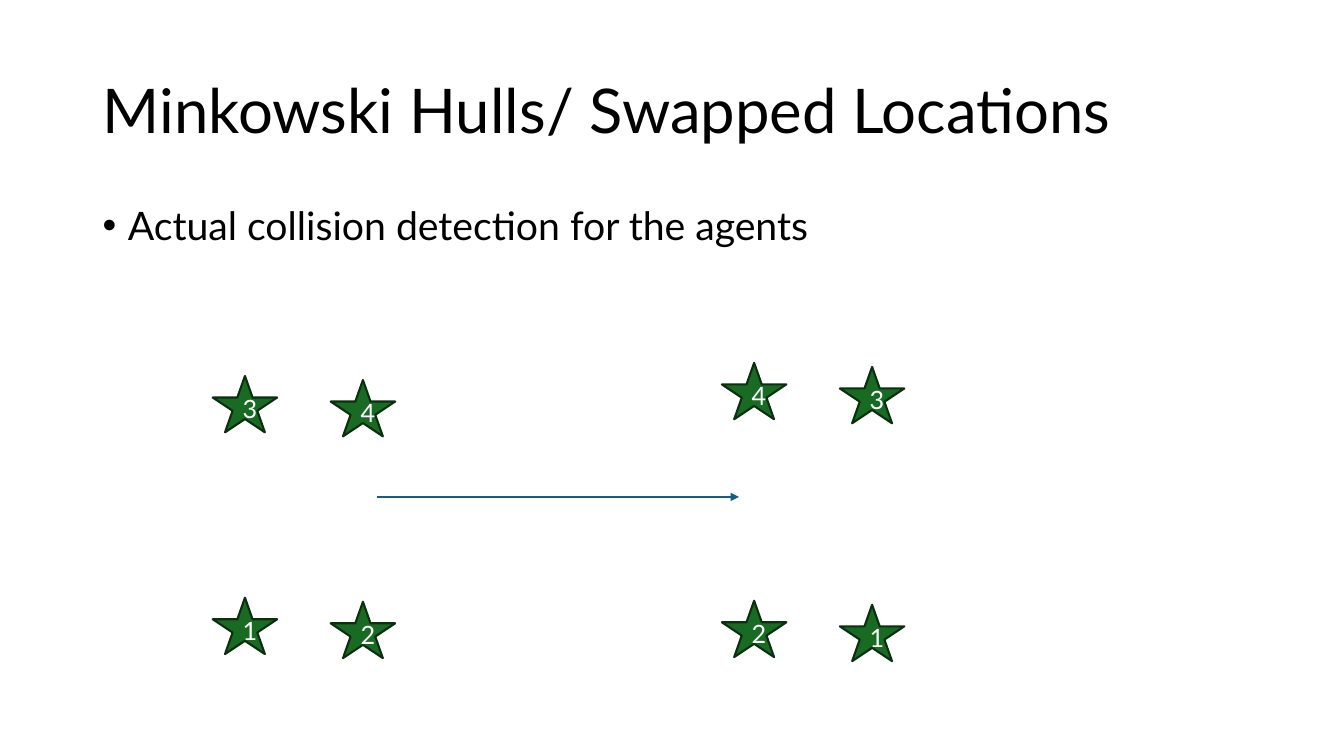
from lxml.etree import SubElement
from pptx import Presentation
from pptx.dml.color import RGBColor
from pptx.enum.shapes import MSO_CONNECTOR as Connector, MSO_SHAPE as Shape
from pptx.enum.text import MSO_ANCHOR as Anchor, PP_ALIGN as Align
from pptx.oxml.ns import qn
from pptx.util import Inches, Pt

BLACK = RGBColor(0x00, 0x00, 0x00)
WHITE = RGBColor(0xFF, 0xFF, 0xFF)
GREEN = RGBColor(0x19, 0x6B, 0x24)
DARK_GREEN = RGBColor(0x0B, 0x2F, 0x10)
BLUE = RGBColor(0x15, 0x60, 0x82)

# Left and top of the first star of each pair, then the two agent numbers
AGENT_PAIRS = [
    (2.11, 5.93, "12"),
    (7.16, 5.96, "21"),
    (2.11, 3.73, "34"),
    (7.16, 3.60, "43"),
]
PAIR_STEP_X, PAIR_STEP_Y = 1.17, 0.04


class SlideBuilder:
    font_name = "Lato"
    line_width = Pt(1.5)

    def __init__(self, page):
        self.page = page

    def style(self, para, size, color):
        font = para.font
        font.name = self.font_name
        font.size = Pt(size)
        font.color.rgb = color

    def text(self, left, top, width, height, words, size, anchor=Anchor.TOP, bullet=None):
        box = self.page.shapes.add_textbox(
            Inches(left), Inches(top), Inches(width), Inches(height))
        frame = box.text_frame
        frame.word_wrap = True
        frame.vertical_anchor = anchor
        frame.text = words
        para = frame.paragraphs[0]
        para.line_spacing = 0.9
        if bullet:
            properties = para._p.get_or_add_pPr()
            properties.set("marL", str(Inches(0.25)))
            properties.set("indent", str(Inches(-0.25)))
            SubElement(properties, qn("a:buFont"), typeface="Arial")
            SubElement(properties, qn("a:buChar"), char=bullet)
        self.style(para, size, BLACK)

    def star(self, left, top, label):
        star = self.page.shapes.add_shape(
            Shape.STAR_5_POINT, Inches(left), Inches(top), Inches(0.64), Inches(0.56))
        star.shadow.inherit = False
        star.fill.solid()
        star.fill.fore_color.rgb = GREEN
        star.line.color.rgb = DARK_GREEN
        star.line.width = self.line_width
        frame = star.text_frame
        frame.vertical_anchor = Anchor.MIDDLE
        frame.text = label
        para = frame.paragraphs[0]
        para.alignment = Align.CENTER
        self.style(para, 18, WHITE)

    def arrow(self, start_x, end_x, y):
        arrow = self.page.shapes.add_connector(
            Connector.STRAIGHT, Inches(start_x), Inches(y), Inches(end_x), Inches(y))
        arrow.line.color.rgb = BLUE
        arrow.line.width = self.line_width
        SubElement(arrow.line._get_or_add_ln(), qn("a:tailEnd"), type="triangle")
        SubElement(arrow._element.spPr, qn("a:effectLst"))


def main():
    deck = Presentation()
    deck.slide_width, deck.slide_height = Inches(13.33), Inches(7.5)
    builder = SlideBuilder(deck.slides.add_slide(deck.slide_layouts[6]))

    builder.text(0.92, 0.4, 11.5, 1.45, "Minkowski Hulls/ Swapped Locations", 44,
                 anchor=Anchor.MIDDLE)
    builder.text(0.92, 2, 11.5, 4.76, "Actual collision detection for the agents", 28,
                 bullet="•")
    for left, top, labels in AGENT_PAIRS:
        for index, label in enumerate(labels):
            builder.star(left + index * PAIR_STEP_X, top + index * PAIR_STEP_Y, label)
    builder.arrow(3.74, 7.33, 4.93)

    deck.save("out.pptx")


if __name__ == "__main__":
    main()
